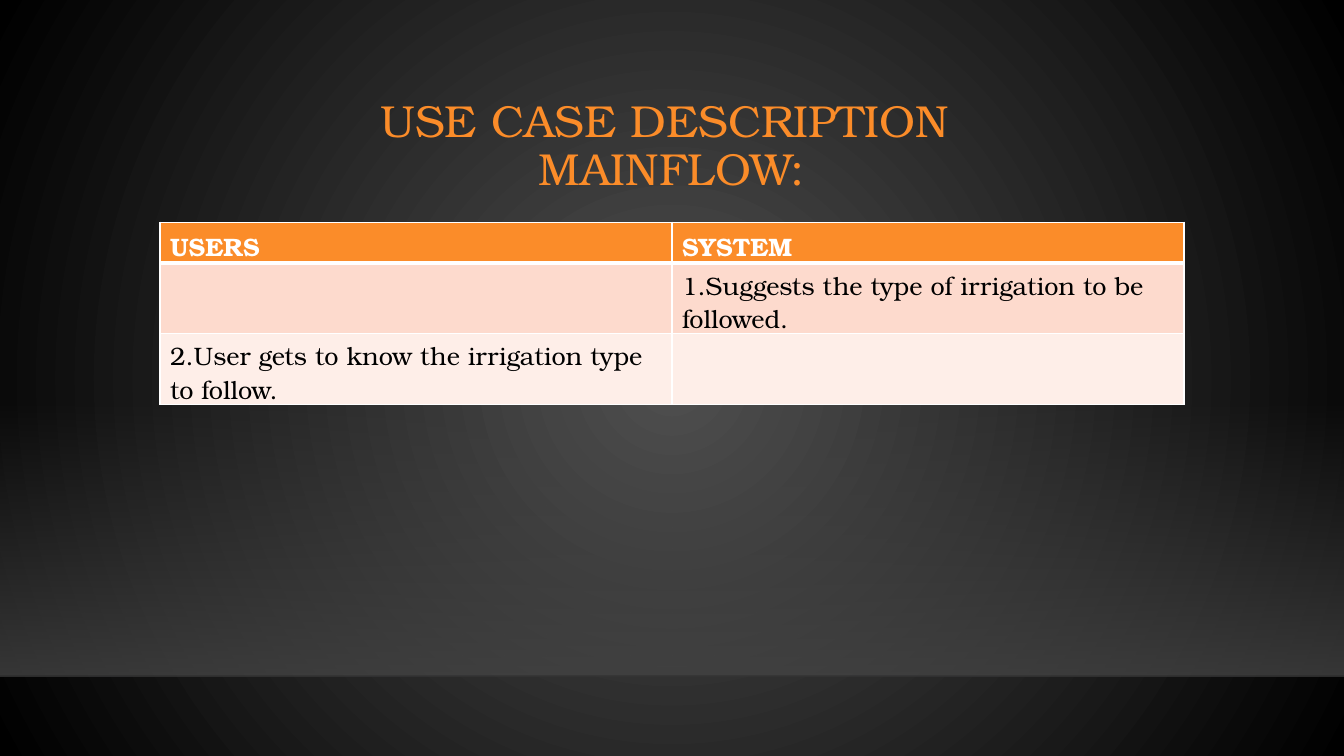
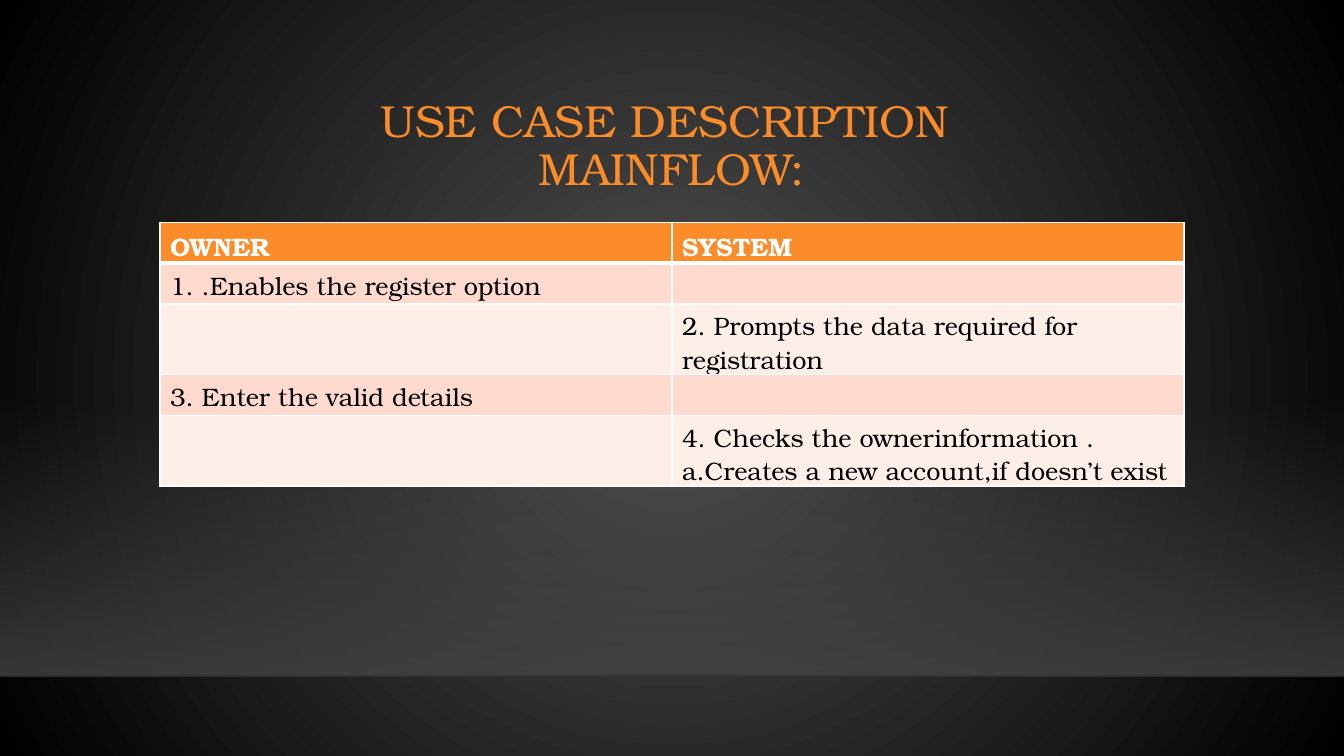
from dataclasses import dataclass

from pptx import Presentation
from pptx.dml.color import RGBColor
from pptx.dml.fill import FillFormat
from pptx.enum.shapes import MSO_CONNECTOR, MSO_SHAPE
from pptx.enum.text import MSO_ANCHOR, PP_ALIGN
from pptx.oxml.ns import qn
from pptx.oxml.xmlchemy import OxmlElement
from pptx.slide import Slide
from pptx.table import _Cell
from pptx.text.text import _Paragraph
from pptx.util import Pt


@dataclass(frozen=True)
class Theme:
    font: str = "TeX Gyre Bonum"
    title_size: float = 32
    body_size: float = 18
    accent: str = "FB8C29"
    text: str = "000000"
    white: str = "FFFFFF"
    bands: tuple[str, str] = ("FDDACD", "FEEEE8")
    glow_centre: str = "505050"
    glow_edge: str = "000000"
    floor: str = "454545"
    floor_edge: str = "000001"


@dataclass(frozen=True)
class UseCase:
    actor: str
    steps: tuple[tuple[str, str], ...]


THEME = Theme()
SLIDE_WIDTH, SLIDE_HEIGHT = 960, 540
CONTENT_WIDTH = 731.5
CONTENT_LEFT = (SLIDE_WIDTH - CONTENT_WIDTH) / 2
TITLE_TOP, TITLE_HEIGHT = 63.5, 82.8
TABLE_TOP, ROW_HEIGHT = 158.75, 29.2
FLOOR_TOP, FLOOR_BOTTOM = 285.5, 483
TITLE = "USE CASE DESCRIPTION \vMAINFLOW:"

USE_CASES = (
    UseCase("USERS", (
        ("", "1.Suggests the type of irrigation to be followed."),
        ("2.User gets to know the irrigation type to follow.", ""),
    )),
    UseCase("OWNER", (
        ("1. .Enables the register option", ""),
        ("", "2. Prompts the data required for registration"),
        ("3. Enter the valid details", ""),
        ("", "4. Checks the ownerinformation .\n"
             "a.Creates a new account,if doesn’t exist"),
    )),
)


def rgb(value: str) -> RGBColor:
    return RGBColor.from_string(value)


def set_alpha(parent, percents: tuple[int, ...]) -> None:
    """Give each colour below the element its opacity, in order."""
    for colour, percent in zip(parent.iter(qn("a:srgbClr")), percents):
        alpha = OxmlElement("a:alpha")
        alpha.set("val", str(percent * 1000))
        colour.append(alpha)


def set_gradient(fill: FillFormat, start: str, end: str) -> None:
    fill.gradient()
    for stop, position, colour in zip(fill.gradient_stops, (0, 1), (start, end)):
        stop.position = position
        stop.color.rgb = rgb(colour)


def set_font(paragraph: _Paragraph, size: float, colour: str, bold: bool = False) -> None:
    font = paragraph.font
    font.name, font.size, font.bold = THEME.font, Pt(size), bold
    font.color.rgb = rgb(colour)


def add_backdrop(slide: Slide) -> None:
    """Draw the round glow and the lit floor with its edge line."""
    set_gradient(slide.background.fill, THEME.glow_centre, THEME.glow_edge)
    glow = next(slide.element.iter(qn("a:gradFill")))
    circle = OxmlElement("a:path")
    circle.set("path", "circle")
    centre = OxmlElement("a:fillToRect")
    for side in "ltrb":
        centre.set(side, "50000")
    circle.append(centre)
    glow.replace(glow.find(qn("a:lin")), circle)

    floor = slide.shapes.add_shape(
        MSO_SHAPE.RECTANGLE, 0, Pt(FLOOR_TOP), Pt(SLIDE_WIDTH), Pt(FLOOR_BOTTOM - FLOOR_TOP)
    )
    floor.shadow.inherit = False
    floor.line.fill.background()
    set_gradient(floor.fill, THEME.floor, THEME.floor)
    floor.fill.gradient_angle = 270
    set_alpha(floor.element.spPr, (0, 80))

    edge = slide.shapes.add_connector(
        MSO_CONNECTOR.STRAIGHT, 0, Pt(FLOOR_BOTTOM), Pt(SLIDE_WIDTH), Pt(FLOOR_BOTTOM)
    )
    edge.line.width = Pt(1)
    edge.line.color.rgb = rgb(THEME.floor_edge)
    edge_properties = edge._element.spPr
    set_alpha(edge_properties, (20,))
    edge_properties.append(OxmlElement("a:effectLst"))


def add_title(slide: Slide) -> None:
    title = slide.shapes.add_textbox(
        Pt(CONTENT_LEFT), Pt(TITLE_TOP), Pt(CONTENT_WIDTH), Pt(TITLE_HEIGHT)
    ).text_frame
    title.word_wrap = True
    title.vertical_anchor = MSO_ANCHOR.MIDDLE
    heading = title.paragraphs[0]
    heading.text = TITLE
    heading.alignment = PP_ALIGN.CENTER
    heading.line_spacing = 0.9
    set_font(heading, THEME.title_size, THEME.accent)


def set_borders(cell: _Cell, top: float, bottom: float) -> None:
    properties = cell._tc.get_or_add_tcPr()
    for side, width in (("L", 1), ("R", 1), ("T", top), ("B", bottom)):
        border = OxmlElement(f"a:ln{side}")
        border.set("w", str(Pt(width)))
        fill = OxmlElement("a:solidFill")
        colour = OxmlElement("a:srgbClr")
        colour.set("val", THEME.white)
        fill.append(colour)
        border.append(fill)
        properties.append(border)


def add_flow_table(slide: Slide, use_case: UseCase) -> None:
    rows = ((use_case.actor, "SYSTEM"), *use_case.steps)
    flow = slide.shapes.add_table(
        len(rows), 2, Pt(CONTENT_LEFT), Pt(TABLE_TOP),
        Pt(CONTENT_WIDTH), Pt(ROW_HEIGHT * len(rows)),
    ).table
    flow.first_row = flow.horz_banding = False
    for row, entries in enumerate(rows):
        header = row == 0
        fill = THEME.accent if header else THEME.bands[(row - 1) % 2]
        for column, entry in enumerate(entries):
            cell = flow.cell(row, column)
            set_borders(cell, top=3 if row == 1 else 1, bottom=3 if header else 1)
            cell.fill.solid()
            cell.fill.fore_color.rgb = rgb(fill)
            cell.text = entry
            for paragraph in cell.text_frame.paragraphs:
                set_font(paragraph, THEME.body_size,
                         THEME.white if header else THEME.text, bold=header)


def main() -> None:
    presentation = Presentation()
    presentation.slide_width, presentation.slide_height = Pt(SLIDE_WIDTH), Pt(SLIDE_HEIGHT)
    blank = presentation.slide_layouts[6]
    for use_case in USE_CASES:
        slide = presentation.slides.add_slide(blank)
        add_backdrop(slide)
        add_title(slide)
        add_flow_table(slide, use_case)
    presentation.save("out.pptx")


if __name__ == "__main__":
    main()
